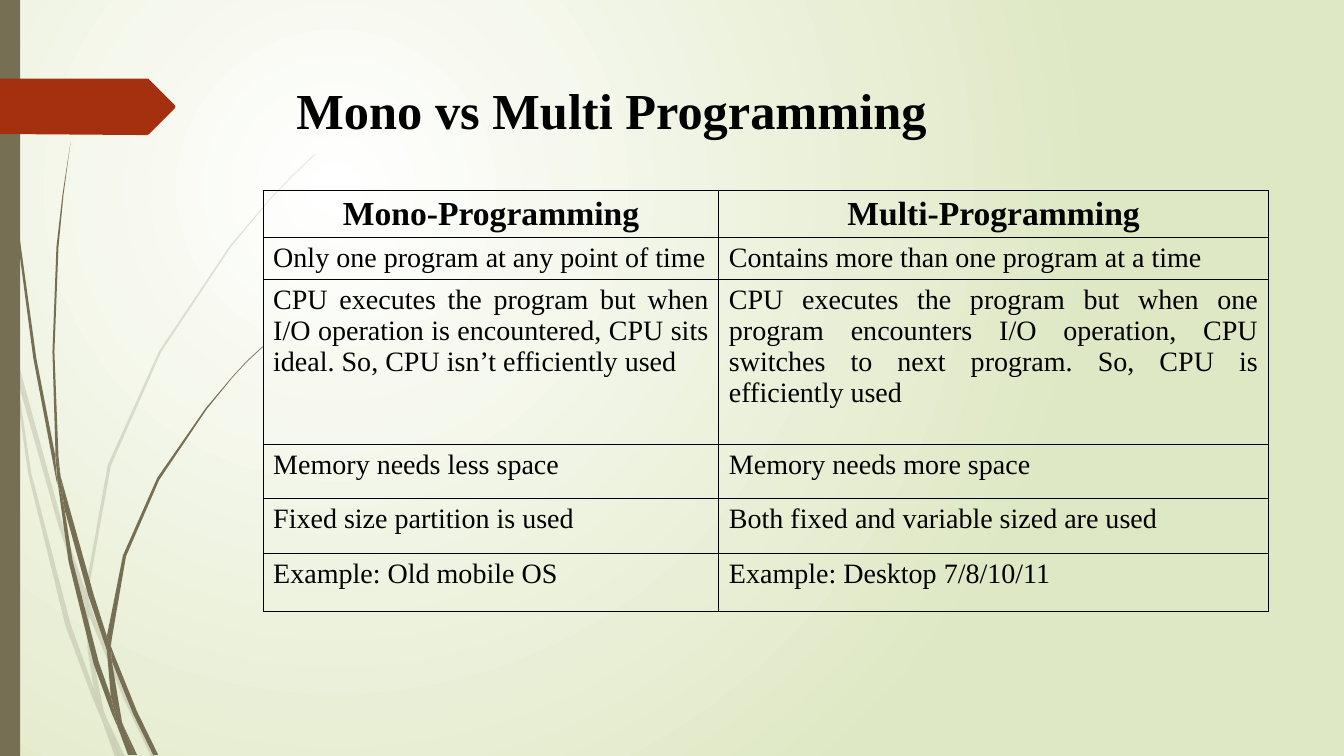
from lxml import etree
from pptx import Presentation
from pptx.dml.color import RGBColor
from pptx.enum.shapes import MSO_SHAPE
from pptx.enum.text import MSO_ANCHOR, PP_ALIGN
from pptx.oxml.ns import qn
from pptx.util import Pt

PX = 9144  # 100 px to the inch
RECTANGLE = MSO_SHAPE.RECTANGLE
TOP = MSO_ANCHOR.TOP
LEFT, CENTER, JUSTIFY = PP_ALIGN.LEFT, PP_ALIGN.CENTER, PP_ALIGN.JUSTIFY
TITLE_ONLY = 5

THEME = {
    "font": "Times New Roman",
    "text": RGBColor.from_string("000000"),
    "center": RGBColor.from_string("FFFFFF"),
    "edge": RGBColor.from_string("DFE8C4"),
    "stem": RGBColor.from_string("766F54"),
    "flag": RGBColor.from_string("A53010"),
    "title_size": Pt(36),
    "header_size": Pt(24),
    "body_size": Pt(20),
}

# Each outline is a list of corners, as x y pairs in px.
PALE_STEMS = [
    "11 350 9 322 0 282 0 299 10 344",
    "58 522 84 599 85 586 62 520 14 345 17 376",
    "92 607 88 596 88 610 123 694 150 751 155 751 127 692",
    "119 751 124 751 105 711",
    "93 683 70 619 31 469 17 376 11 350 28 470 65 621 92 693 101 714 99 707",
    "84 599 87 646 93 683 96 692 105 711 103 706 91 646 88 610 88 608",
    "88 584 110 462 160 349 229 245 268 198 290 175 312 154 312 153 289 175 268 197 228 244 "
    "158 348 107 461 85 584 85 586 88 596",
    "101 714 114 751 119 751",
    "88 608 88 610 88 596 85 586 84 599",
    "96 692 93 683 99 707 101 714 119 751 105 711",
]
DARK_STEMS = [
    "7 110 17 233 33 355 56 477 57 481 55 457 55 453 36 355 19 232 8 109 5 48 4 0 3 0 4 48",
    "88 592 106 645 106 633 106 631 93 590 60 472 64 505",
    "113 649 110 641 111 656 132 708 152 749 157 749 136 706",
    "110 691 98 657 72 556 64 505 57 477 68 557 93 659 111 708 117 722 116 717",
    "60 472 58 453 54 349 58 245 63 193 70 141 62 193 56 245 52 349 55 449",
    "133 749 136 749 122 719",
    "57 477 64 505 60 472 55 449 55 453",
    "111 633 125 552 158 476 205 406 231 374 245 359 261 344 260 344 245 358 231 373 204 405 "
    "156 474 122 551 106 631 110 641",
    "117 722 127 749 131 749",
    "106 645 110 691 116 706 122 719 121 716 111 656 109 651",
    "106 645 109 651 111 656 110 641 106 631 106 633",
    "116 706 110 691 116 717 117 722 130 749 133 749 122 719",
]
FLAG = "0 78 147 78 148 79 173 104 174 106 173 108 148 133 146 134 136 134 0 133"

COLUMN_WIDTHS = [452, 545]
ROW_HEIGHTS = [47, 41, 164, 54, 54, 58]
ROWS = [
    ("Mono-Programming", "Multi-Programming"),
    ("Only one program at any point of time", "Contains more than one program at a time"),
    ("CPU executes the program but when I/O operation is encountered, CPU sits ideal. So, CPU isn’t efficiently used",
     "CPU executes the program but when one program encounters I/O operation, CPU switches to next program. "
     "So, CPU is efficiently used"),
    ("Memory needs less space", "Memory needs more space"),
    ("Fixed size partition is used", "Both fixed and variable sized are used"),
    ("Example: Old mobile OS", "Example: Desktop 7/8/10/11"),
]


def add_outline(shapes, outline, color):
    """Add a filled polygon without a line from a string of x y pairs in px."""
    numbers = [int(number) * PX for number in outline.split()]
    corners = list(zip(numbers[::2], numbers[1::2]))
    builder = shapes.build_freeform(*corners[0])
    builder.add_line_segments(corners[1:], close=True)
    shape = builder.convert_to_shape()
    shape.shadow.inherit = False
    shape.fill.solid()
    shape.fill.fore_color.rgb = color
    shape.line.fill.background()
    return shape


def format_text(paragraph, size, bold, alignment):
    paragraph.alignment = alignment
    for run in paragraph.runs:
        run.font.name = THEME["font"]
        run.font.size = size
        run.font.bold = bold
        run.font.color.rgb = THEME["text"]


presentation = Presentation()
presentation.slide_width, presentation.slide_height = 1333 * PX, 750 * PX
slide = presentation.slides.add_slide(presentation.slide_layouts[TITLE_ONLY])

# Background: a round glow, centred a quarter of the way in
background = slide.background.fill
background.gradient()
for position, (stop, name) in enumerate(zip(background.gradient_stops, ("center", "edge"))):
    stop.color.rgb = THEME[name]
    stop.position = position
gradient = slide.element.find(".//" + qn("a:gradFill"))
gradient.remove(gradient.find(qn("a:lin")))
glow = etree.SubElement(gradient, qn("a:path"), path="circle")
etree.SubElement(glow, qn("a:fillToRect"), l="50000", t="50000", r="100000", b="100000")

# Grass stems
for outlines, opacity in ((PALE_STEMS, 20), (DARK_STEMS, 100)):
    group = slide.shapes.add_group_shape()
    for outline in outlines:
        stem = add_outline(group.shapes, outline, THEME["stem"])
        if opacity < 100:
            color = stem.element.find(".//" + qn("a:srgbClr"))
            etree.SubElement(color, qn("a:alpha"), val=str(opacity * 1000))

# Left bar and flag
bar = slide.shapes.add_shape(RECTANGLE, 0, 0, 20 * PX, 750 * PX)
bar.shadow.inherit = False
bar.fill.solid()
bar.fill.fore_color.rgb = THEME["stem"]
bar.line.fill.background()
add_outline(slide.shapes, FLAG, THEME["flag"])

# Title
title = slide.shapes.title
title.left, title.top, title.width, title.height = 284 * PX, 68 * PX, 975 * PX, 140 * PX
title.text_frame.text = "Mono vs Multi Programming"
title.text_frame.vertical_anchor = TOP
title.text_frame.margin_top = 10 * PX
format_text(title.text_frame.paragraphs[0], THEME["title_size"], True, LEFT)

# Comparison table
frame = slide.shapes.add_table(len(ROWS), len(COLUMN_WIDTHS), 261 * PX, 189 * PX,
                               sum(COLUMN_WIDTHS) * PX, sum(ROW_HEIGHTS) * PX)
table = frame.table
table.first_row = table.horz_banding = False
for column, width in zip(table.columns, COLUMN_WIDTHS):
    column.width = width * PX
for row, height, texts in zip(table.rows, ROW_HEIGHTS, ROWS):
    row.height = height * PX
    is_header = texts is ROWS[0]
    size = THEME["header_size"] if is_header else THEME["body_size"]
    for cell, text in zip(row.cells, texts):
        cell.text_frame.text = text
        format_text(cell.text_frame.paragraphs[0], size, is_header, CENTER if is_header else JUSTIFY)
        properties = cell._tc.get_or_add_tcPr()
        for side in ("a:lnL", "a:lnR", "a:lnT", "a:lnB"):
            border = etree.SubElement(properties, qn(side), w=str(Pt(1)))
            fill = etree.SubElement(border, qn("a:solidFill"))
            etree.SubElement(fill, qn("a:srgbClr"), val=str(THEME["text"]))
        cell.fill.background()

presentation.save("out.pptx")
